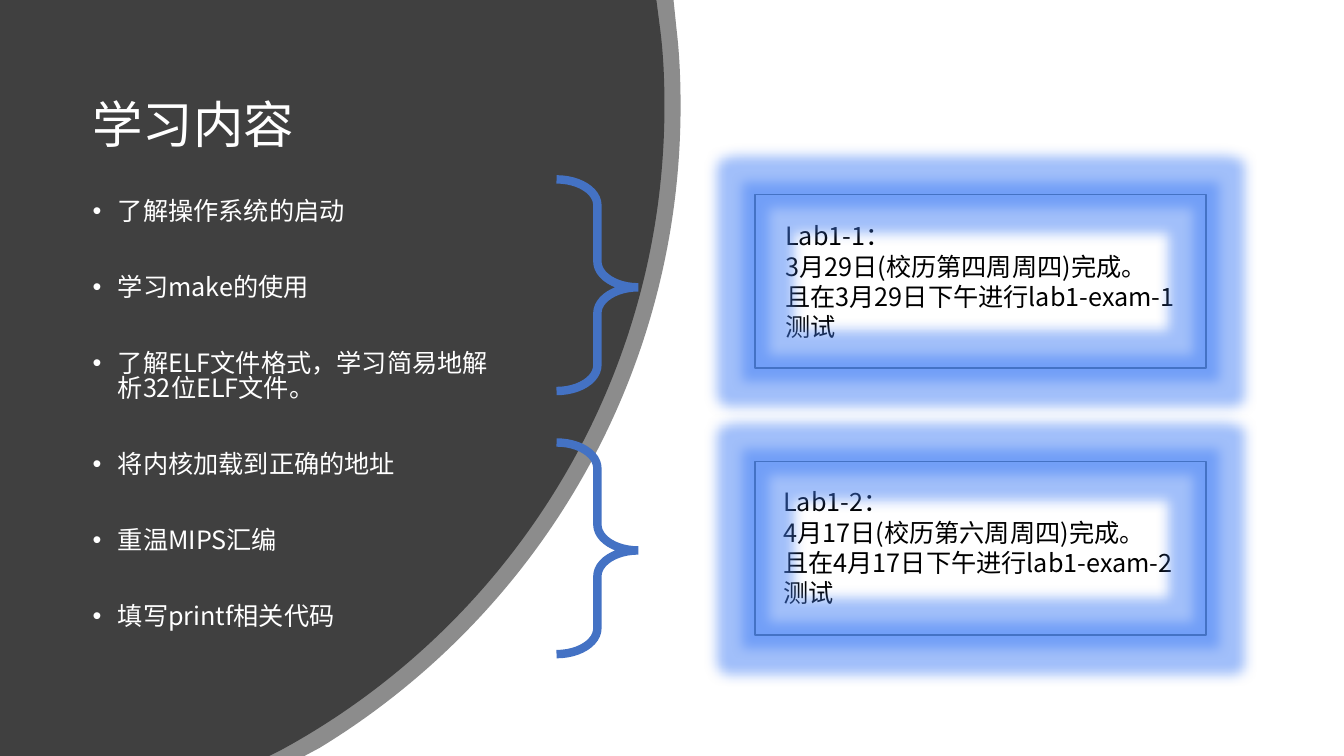
"""Build the study content slide with its two lab deadlines."""
from lxml import etree
from pptx import Presentation
from pptx import util as u
from pptx.dml.color import RGBColor
from pptx.enum import shapes, text
from pptx.oxml import ns

FONT = "Noto Sans CJK SC"
BLUE = "4472C4"


def rgb(value):
    return RGBColor.from_string(value)


def add_text(p, content, size, color):
    r = p.add_run()
    r.text = content
    r.font.size = u.Pt(size)
    r.font.name = FONT
    r.font.color.rgb = rgb(color)
    ea = etree.SubElement(r._r.get_or_add_rPr(), ns.qn("a:ea"))
    ea.set("typeface", FONT)


prs = Presentation()
prs.slide_width, prs.slide_height = u.Inches(13.33), u.Inches(7.5)
s = prs.slides.add_slide(prs.slide_layouts[6])

panels = [
    (60, [(6.68, 0), (6.71, 0.29)],
     [[(6.74, 0.54), (6.75, 0.8), (6.75, 1.05)],
      [(6.75, 3.75), (5.32, 6.11), (3.17, 7.42)]], (3.02, 7.5)),
    (100, [(6.51, 0), (6.55, 0.31)],
     [[(6.58, 0.55), (6.59, 0.8), (6.59, 1.05)],
      [(6.59, 3.81), (5.05, 6.21), (2.79, 7.44)]], (2.67, 7.5)),
]
for alpha, edge, curves, bottom in panels:
    corners = edge + [curve[-1] for curve in curves] + [bottom, (0, 7.5)]
    fb = s.shapes.build_freeform(0, 0)
    fb.add_line_segments([(u.Inches(x), u.Inches(y)) for x, y in corners], close=True)
    sp = fb.convert_to_shape()
    sp.shadow.inherit = False
    sp.fill.solid()
    sp.fill.fore_color.rgb = rgb("404040")
    sp.line.fill.background()
    segments = sp._element.spPr.findall(".//" + ns.qn("a:lnTo"))
    for segment, curve in zip(segments[2:4], curves):
        bezier = etree.Element(ns.qn("a:cubicBezTo"))
        for x, y in curve:
            etree.SubElement(bezier, ns.qn("a:pt"), x=str(u.Inches(x)), y=str(u.Inches(y)))
        segment.getparent().replace(segment, bezier)
    if alpha < 100:
        clr = sp._element.spPr.find(".//" + ns.qn("a:srgbClr"))
        etree.SubElement(clr, ns.qn("a:alpha"), val=str(alpha * 1000))

sp = s.shapes.add_textbox(u.Inches(0.82), u.Inches(0.69), u.Inches(4.44), u.Inches(1.14))
tf = sp.text_frame
tf.word_wrap = True
tf.vertical_anchor = text.MSO_ANCHOR.MIDDLE
tf.paragraphs[0].line_spacing = 0.9
add_text(tf.paragraphs[0], "学习内容", 36, "FFFFFF")

topics = ["了解操作系统的启动", "学习make的使用", "了解ELF文件格式，学习简易地解析32位ELF文件。",
          "将内核加载到正确的地址", "重温MIPS汇编", "填写printf相关代码"]
sp = s.shapes.add_textbox(u.Inches(0.82), u.Inches(1.94), u.Inches(4.18), u.Inches(4.7))
tf = sp.text_frame
tf.word_wrap = True
for i, topic in enumerate(topics):
    p = tf.add_paragraph() if i else tf.paragraphs[0]
    p.line_spacing = u.Pt(17.9)
    p.space_before = u.Pt(36.4 if i else 0)
    pPr = p._p.get_or_add_pPr()
    pPr.set("marL", str(u.Inches(0.25)))
    pPr.set("indent", str(u.Inches(-0.25)))
    etree.SubElement(pPr, ns.qn("a:buFont"), typeface="Arial")
    etree.SubElement(pPr, ns.qn("a:buChar"), char="•")
    add_text(p, topic, 18, "FFFFFF")

labs = [
    (7.69, 2.14, 1.93, ["Lab1-1：", "3月29日(校历第四周周四)完成。", "且在3月29日下午进行lab1-exam-1测试"]),
    (7.67, 4.78, 4.58, ["Lab1-2：", "4月17日(校历第六周周四)完成。", "且在4月17日下午进行lab1-exam-2测试"]),
]
for left, top, frame_top, lines in labs:
    sp = s.shapes.add_textbox(u.Inches(left), u.Inches(top), u.Inches(4.1), u.Inches(1.31))
    tf = sp.text_frame
    tf.word_wrap = True
    for i, line in enumerate(lines):
        p = tf.add_paragraph() if i else tf.paragraphs[0]
        p.line_spacing = u.Pt(21.6)
        add_text(p, line, 18, "000000")

    sp = s.shapes.add_shape(shapes.MSO_SHAPE.RECTANGLE, u.Inches(7.49), u.Inches(frame_top),
                            u.Inches(4.47), u.Inches(1.72))
    sp.shadow.inherit = False
    sp.fill.background()
    sp.line.color.rgb = rgb(BLUE)
    sp.line.width = u.Pt(1)
    effects = sp._element.spPr.find(ns.qn("a:effectLst"))
    glow = etree.SubElement(effects, ns.qn("a:glow"), rad=str(u.Pt(18)))
    clr = etree.SubElement(glow, ns.qn("a:srgbClr"), val="437FF5")
    etree.SubElement(clr, ns.qn("a:alpha"), val="50000")

for top in (1.78, 4.39):
    sp = s.shapes.add_shape(shapes.MSO_SHAPE.RIGHT_BRACE, u.Inches(5.52), u.Inches(top),
                            u.Inches(0.81), u.Inches(2.1))
    sp.shadow.inherit = False
    sp.adjustments[0], sp.adjustments[1] = 0.317, 0.51
    sp.fill.background()
    sp.line.color.rgb = rgb(BLUE)
    sp.line.width = u.Pt(6)
    ln = sp._element.spPr.find(ns.qn("a:ln"))
    etree.SubElement(ln, ns.qn("a:miter"), lim="800000")

prs.save("out.pptx")
